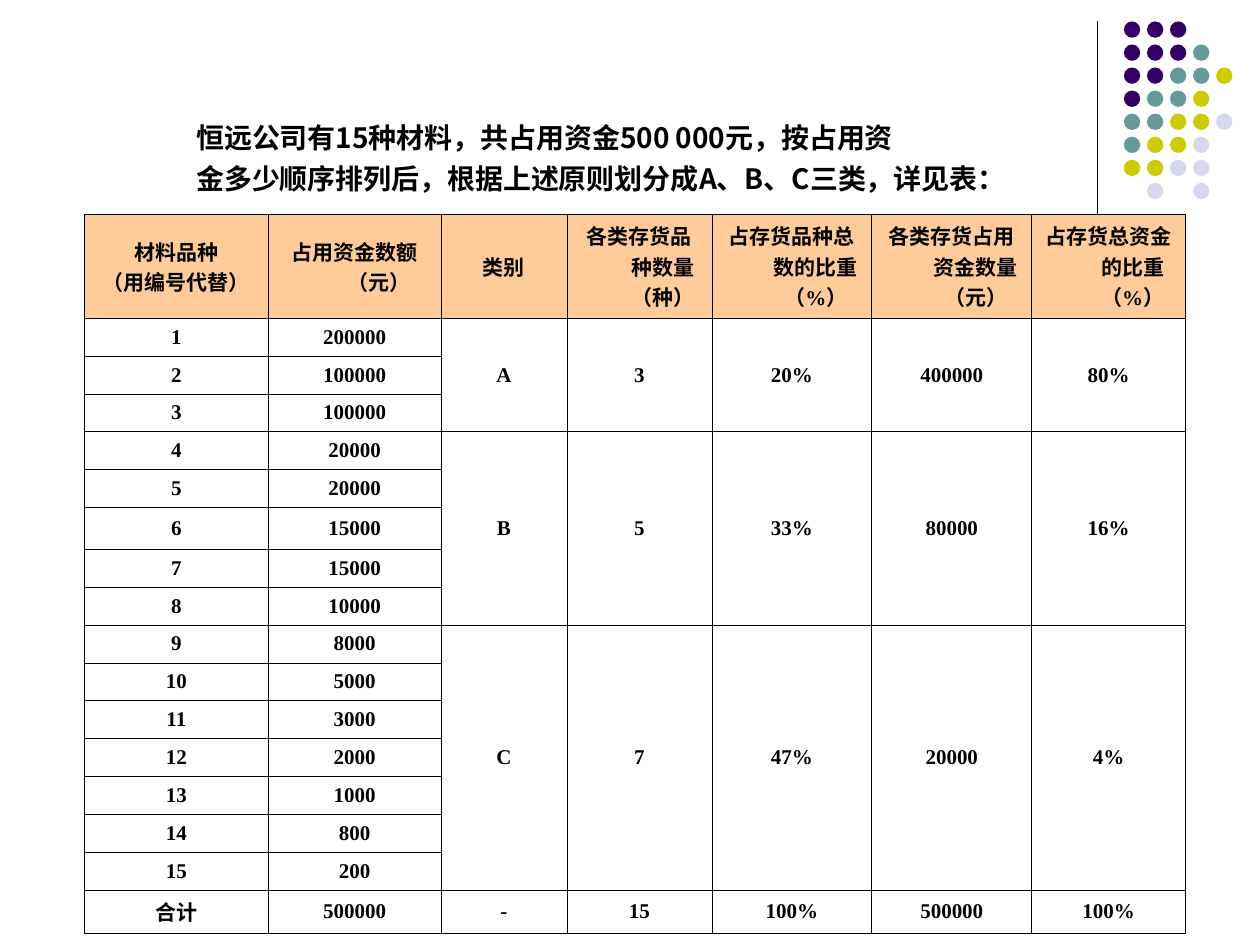
from lxml import etree
from pptx import Presentation
from pptx.dml.color import RGBColor
from pptx.enum.shapes import MSO_CONNECTOR, MSO_SHAPE
from pptx.enum.text import MSO_ANCHOR, PP_ALIGN
from pptx.oxml.ns import qn
from pptx.util import Inches, Pt

LINE, OVAL = MSO_CONNECTOR.STRAIGHT, MSO_SHAPE.OVAL
MIDDLE, CENTER, LEFT = MSO_ANCHOR.MIDDLE, PP_ALIGN.CENTER, PP_ALIGN.LEFT
COLS, ROWS = 100, 75

TITLE = """恒远公司有15种材料，共占用资金500 000元，按占用资
金多少顺序排列后，根据上述原则划分成A、B、C三类，详见表："""
HEADS = ["材料品种\n（用编号代替）", "占用资金数额（元）", "类别", "各类存货品种数量（种）",
         "占存货品种总数的比重（%）", "各类存货占用资金数量（元）", "占存货总资金的比重（%）"]
FUNDS = [200000, 100000, 100000, 20000, 20000, 15000, 15000, 10000,
         8000, 5000, 3000, 2000, 1000, 800, 200]
GROUPS = [("A", 3, "20%", 400000, "80%"), ("B", 5, "33%", 80000, "16%"),
          ("C", 7, "47%", 20000, "4%")]
TOTAL = ["合计", 500000, "-", 15, "100%", 500000, "100%"]
WIDTHS = [14.6, 13.7, 10, 11.5, 12.7, 12.7, 12.2]
HEIGHTS = [8.25] + [3.01] * 5 + [3.3] + [3.01] * 9 + [3.4]
DOTS = ["PPP", "PPPT", "PPTTY", "PTTY", "TTYYL", "TYYL", "YYLL", " L L"]
TINTS = {"P": "330066", "T": "669999", "Y": "CCCC00", "L": "D8D8EC"}


def color(text):
    return RGBColor.from_string(text)


class Deck:
    """Holds the style and the current slide, measured on a grid of 100 by 75."""

    ink, head = "000000", "FFCC99"
    serif, sans = "Times New Roman", "Noto Sans CJK SC"

    def __init__(self):
        self.prs = Presentation()
        self.prs.slide_width, self.prs.slide_height = Inches(10), Inches(7.5)
        self.slide = self.prs.slides.add_slide(self.prs.slide_layouts[6])
        self.shapes = self.slide.shapes

    def x(self, cols):
        return round(self.prs.slide_width * cols / COLS)

    def y(self, rows):
        return round(self.prs.slide_height * rows / ROWS)

    def box(self, x, y, w, h):
        return self.x(x), self.y(y), self.x(w), self.y(h)

    def style(self, frame, size, face, align):
        for para in frame.paragraphs:
            para.alignment = align
            props = para._p.get_or_add_pPr()
            props.set("marL", str(self.x(3.8)))
            props.set("indent", str(-self.x(3.8)))
            for run in para.runs:
                font = run.font
                font.size, font.bold, font.name = Pt(size), True, face
                font.color.rgb = color(self.ink)
                east = etree.SubElement(run._r.get_or_add_rPr(), qn("a:ea"))
                east.set("typeface", self.sans)

    def rule(self, x, top, end):
        line = self.shapes.add_connector(LINE, self.x(x), self.y(top), self.x(x), self.y(end))
        line.line.color.rgb = color(self.ink)
        line.line.width = Pt(0.75)
        etree.SubElement(line._element.spPr, qn("a:effectLst"))

    def dot(self, x, y, size, tint):
        dot = self.shapes.add_shape(OVAL, *self.box(x, y, size, size))
        dot.shadow.inherit = False
        dot.fill.solid()
        dot.fill.fore_color.rgb = color(tint)
        dot.line.fill.background()

    def text(self, text, *place):
        frame = self.shapes.add_textbox(*self.box(*place)).text_frame
        frame.word_wrap = True
        frame.text = text
        self.style(frame, 16, self.sans, LEFT)
        for para in frame.paragraphs[1:]:
            para.space_before = Pt(4)

    def border(self, cell):
        props = cell._tc.get_or_add_tcPr()
        for index, side in enumerate(("lnL", "lnR", "lnT", "lnB")):
            edge = etree.Element(qn("a:" + side), w=str(Pt(0.45)))
            fill = etree.SubElement(edge, qn("a:solidFill"))
            etree.SubElement(fill, qn("a:srgbClr"), val=self.ink)
            props.insert(index, edge)

    def table(self, x, y, rows, spans):
        place = self.box(x, y, sum(WIDTHS), sum(HEIGHTS))
        table = self.shapes.add_table(len(rows), len(WIDTHS), *place).table
        table.horz_banding = table.first_row = False
        for col, width in zip(table.columns, WIDTHS):
            col.width = self.x(width)
        for row, height in zip(table.rows, HEIGHTS):
            row.height = self.y(height)
        for top, count in spans:
            for col in range(2, len(WIDTHS)):
                table.cell(top, col).merge(table.cell(top + count - 1, col))
        for r, row in enumerate(rows):
            for c in range(len(WIDTHS)):
                cell = table.cell(r, c)
                if c < len(row):
                    cell.text_frame.text = str(row[c])
                    self.style(cell.text_frame, 12, self.serif, CENTER)
                cell.vertical_anchor = MIDDLE
                if r:
                    cell.fill.background()
                else:
                    cell.fill.solid()
                    cell.fill.fore_color.rgb = color(self.head)
                self.border(cell)


def main():
    deck = Deck()
    deck.rule(87.1, 1.7, 18.3)
    for r, line in enumerate(DOTS):
        for c, key in enumerate(line):
            if key in TINTS:
                deck.dot(89.2 + 1.83 * c, 1.7 + 1.83 * r, 1.3, TINTS[key])
    deck.text(TITLE, 14.6, 9.1, 85.4, 15.6)

    rows = [HEADS] + [[n, fund] for n, fund in enumerate(FUNDS, 1)] + [TOTAL]
    spans, top = [], 1
    for group in GROUPS:
        rows[top] += group
        spans.append((top, group[1]))
        top += group[1]
    deck.table(6.7, 17, rows, spans)
    deck.prs.save("out.pptx")


if __name__ == "__main__":
    main()
